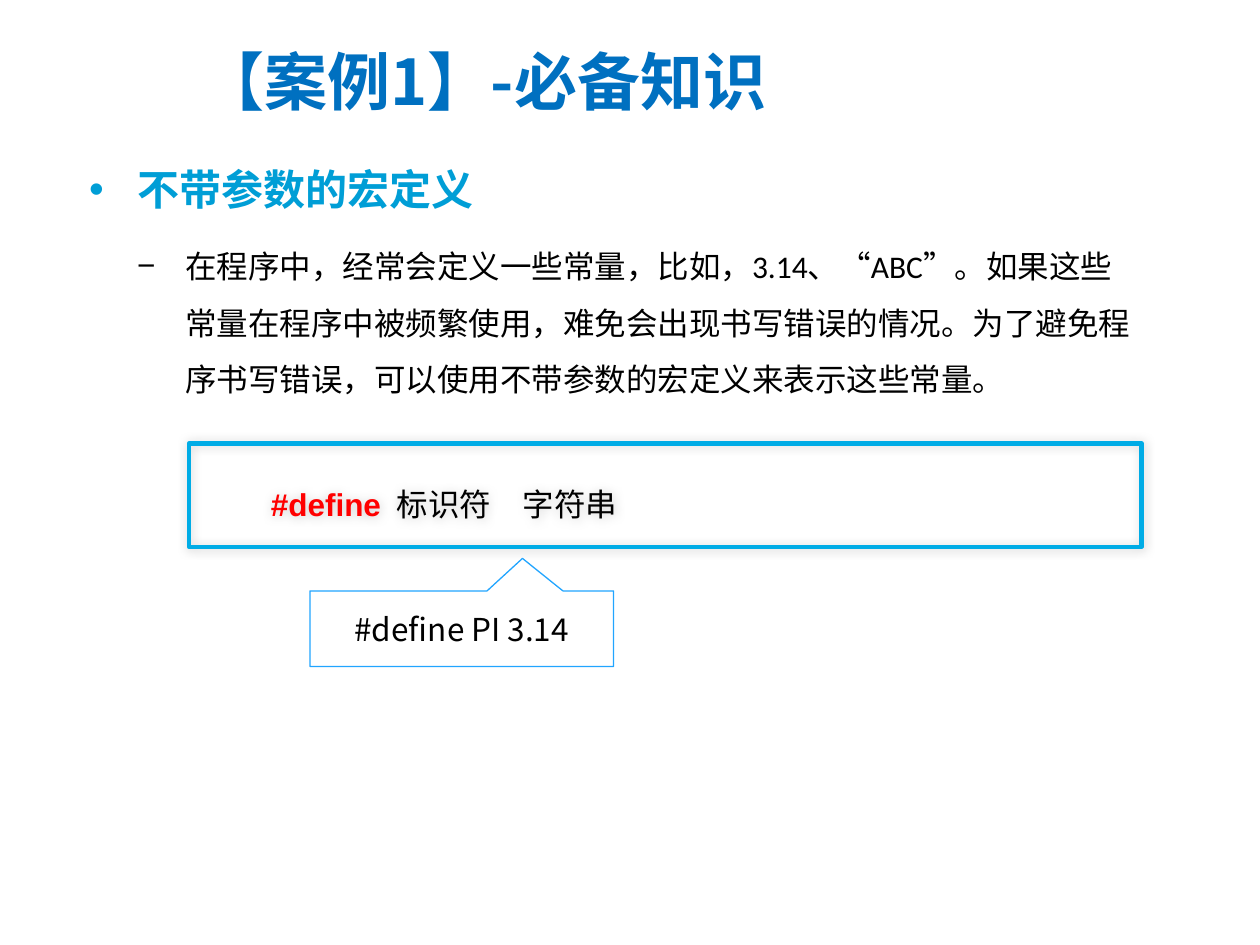
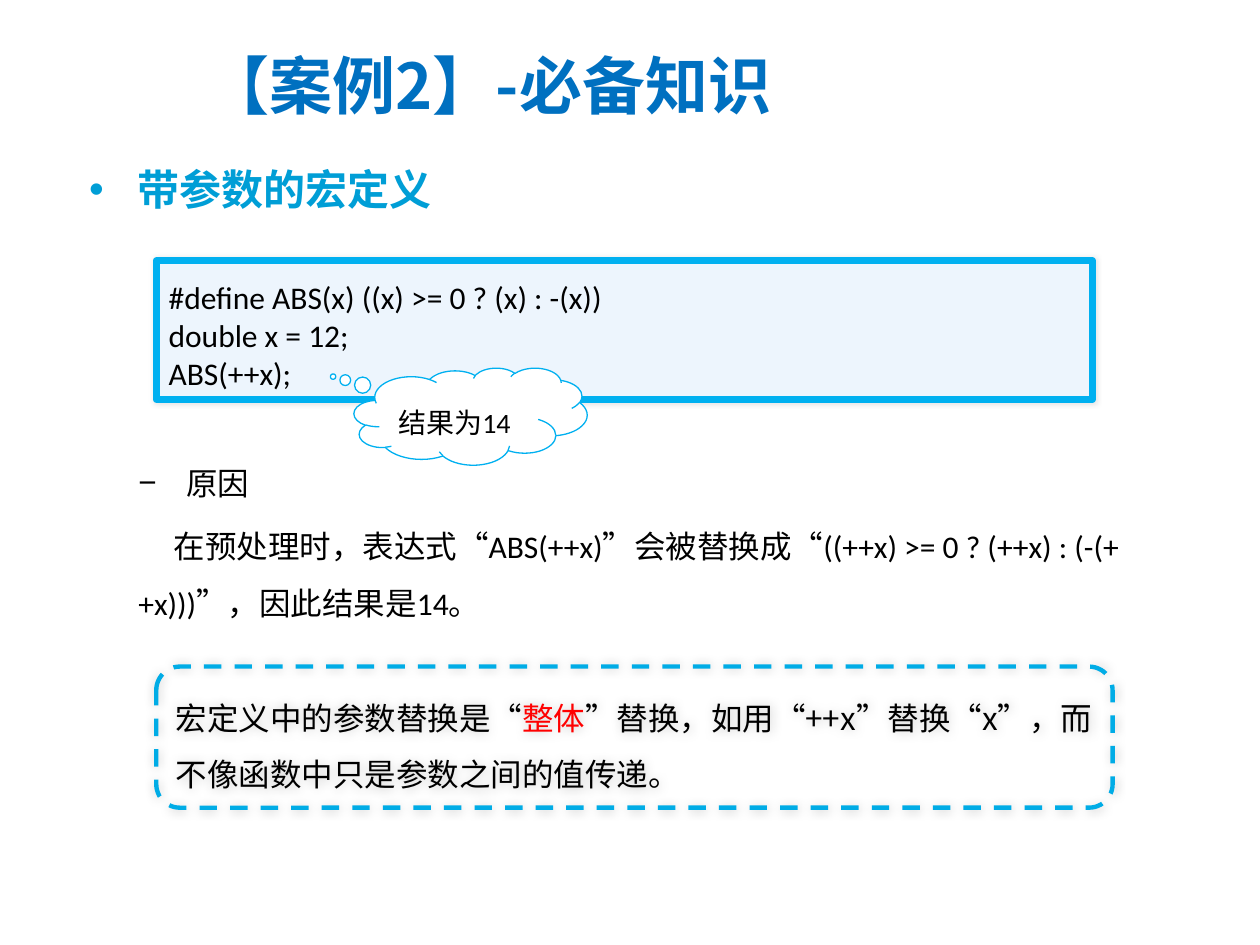
from lxml import etree
from pptx import Presentation
from pptx.dml.color import RGBColor
from pptx.enum.dml import MSO_LINE
from pptx.enum.shapes import MSO_SHAPE
from pptx.enum.text import MSO_ANCHOR, MSO_AUTO_SIZE, PP_ALIGN
from pptx.oxml.ns import qn
from pptx.util import Inches, Pt

RECT, ROUND = MSO_SHAPE.RECTANGLE, MSO_SHAPE.ROUNDED_RECTANGLE
WEDGE, CLOUD = MSO_SHAPE.RECTANGULAR_CALLOUT, MSO_SHAPE.CLOUD_CALLOUT
PROCESS = MSO_SHAPE.FLOWCHART_ALTERNATE_PROCESS
TOP, MIDDLE = MSO_ANCHOR.TOP, MSO_ANCHOR.MIDDLE
LEFT, CENTER = PP_ALIGN.LEFT, PP_ALIGN.CENTER
DASH, NO_FIT = MSO_LINE.DASH, MSO_AUTO_SIZE.NONE

WIDTH, HEIGHT = Inches(10), Inches(7.5)
CELL = WIDTH / 100
CJK, LATIN, SANS = "Noto Sans CJK SC", "Calibri", "Arial"
BLACK, WHITE, RED = "000000", "FFFFFF", "FF0000"
TITLE_BLUE, HEADING_BLUE, FRAME_BLUE = "0070C0", "009ED6", "00ACE6"
CODE_BLUE, CODE_FILL, CALLOUT_BLUE = "00B0F0", "EDF5FD", "21A5FF"

HEADING = dict(size=24, color=HEADING_BLUE, bold=True, spacing=1.5, bullet="•", wrap=False)
BODY = dict(spacing=1.5)
DASHED_ITEM = dict(bullet="−", spacing=1.5)
FRAME = dict(line=FRAME_BLUE, weight=2.5, shadow=(20, 6, 225))

SLIDES = [
    dict(
        title="【案例1】-必备知识", title_at=(15, 2.2, 56.3, 8.4),
        texts=[
            ((6.1, 10.5, 32.9, 7.1), [("不带参数的宏定义", HEADING)]),
            ((9.9, 17.6, 81.2, 14.1), [(
                "在程序中，经常会定义一些常量，比如，3.14、“ABC”。如果这些常量在程序中被频繁使用，"
                "难免会出现书写错误的情况。为了避免程序书写错误，可以使用不带参数的宏定义来表示这些常量。",
                DASHED_ITEM)]),
        ],
        shapes=[
            (RECT, (15, 35.2, 75.6, 8.2), FRAME,
             [([("#define", dict(color=RED, bold=True)), "\t标识符\t字符串"],
               dict(font=SANS, spacing=1.5, tabs=(10.7, 19.4), inset=(6.5, 1.8)))]),
            (WEDGE, (24.6, 46.9, 24.1, 6), dict(fill=WHITE, line=CALLOUT_BLUE, adj=(0.2, -0.93)),
             [("#define PI 3.14", dict(font=CJK, align=CENTER, anchor=MIDDLE, wrap=False))]),
        ],
    ),
    dict(
        title="【案例2】-必备知识", title_at=(15.4, 2.5, 56.3, 8.4),
        texts=[
            ((6.1, 10.5, 29.5, 7.1), [("带参数的宏定义", HEADING)]),
            ((10, 34.8, 82.6, 15.2), [
                ("原因", DASHED_ITEM),
                ("在预处理时，表达式“ABS(++x)”会被替换成“((++x) >= 0 ? (++x) : (-(++x)))”，因此结果是14。",
                 dict(spacing=1.5, before=4, indent=2.8))]),
        ],
        shapes=[
            (ROUND, (12.4, 20.7, 74.3, 11),
             dict(fill=CODE_FILL, line=CODE_BLUE, weight=4, shadow=(10, 3, 0), adj=(0,)),
             [("#define ABS(x) ((x) >= 0 ? (x) : -(x))", dict(spacing=1.3)),
              ("double x = 12;", {}), ("ABS(++x);", {})]),
            (CLOUD, (28.1, 29.2, 18.5, 7.7), dict(fill=WHITE, line=CODE_BLUE, adj=(-0.59, -0.41)),
             [("结果为14", dict(size=16, spacing=1.5, anchor=MIDDLE))]),
            (PROCESS, (12.4, 52.9, 75.9, 11.2), dict(FRAME, dash=DASH),
             [(["宏定义中的参数替换是“", ("整体", dict(color=RED)),
                "”替换，如用“++x”替换“x”，而不像函数中只是参数之间的值传递。"],
               dict(font=CJK, spacing=1.5))]),
        ],
    ),
]


def rgb(value):
    return RGBColor.from_string(value)


def cells(n):
    return round(n * CELL)


def grid(at):
    return [cells(n) for n in at]


def child(parent, tag, **attrs):
    return etree.SubElement(parent, qn(tag), {k: str(v) for k, v in attrs.items()})


def set_frame(tf, anchor=TOP, wrap=True, inset=(1, 0.5)):
    tf.auto_size = NO_FIT
    tf.word_wrap = wrap
    tf.vertical_anchor = anchor
    tf.margin_left, tf.margin_top = grid(inset)
    tf.margin_right, tf.margin_bottom = cells(1), cells(0.5)


def add_text(p, text, font=LATIN, size=18, color=BLACK, bold=False, align=LEFT,
             spacing=None, before=0, bullet=None, indent=0, tabs=()):
    p.alignment = align
    p.space_before = Pt(before)
    if spacing:
        p.line_spacing = spacing
    pPr = p._p.get_or_add_pPr()
    hang = 3.8 if bullet else 0
    pPr.set("marL", str(cells(hang)))
    pPr.set("indent", str(cells(indent - hang)))
    if bullet:
        child(pPr, "a:buFont", typeface=SANS)
        child(pPr, "a:buChar", char=bullet)
    else:
        child(pPr, "a:buNone")
    if tabs:
        tab_list = child(pPr, "a:tabLst")
        for pos in tabs:
            child(tab_list, "a:tab", pos=cells(pos), algn="l")
    for part in [text] if isinstance(text, str) else text:
        words, own = (part, {}) if isinstance(part, str) else part
        r = p.add_run()
        r.text = words
        r.font.name = font
        r.font.size = Pt(size)
        r.font.bold = own.get("bold", bold)
        r.font.color.rgb = rgb(own.get("color", color))
        child(r._r.get_or_add_rPr(), "a:ea", typeface=CJK)


def fill_text(tf, paragraphs):
    frame_keys = ("anchor", "wrap", "inset")
    first = paragraphs[0][1]
    set_frame(tf, **{k: first[k] for k in frame_keys if k in first})
    for i, (text, style) in enumerate(paragraphs):
        p = tf.paragraphs[0] if i == 0 else tf.add_paragraph()
        add_text(p, text, **{k: v for k, v in style.items() if k not in frame_keys})


def add_box(s, kind, at, paragraphs, line, fill=None, weight=0.75, dash=None, shadow=None, adj=()):
    sp = s.shapes.add_shape(kind, *grid(at))
    for i, value in enumerate(adj):
        sp.adjustments[i] = value
    if fill:
        sp.fill.solid()
        sp.fill.fore_color.rgb = rgb(fill)
    else:
        sp.fill.background()
    sp.line.color.rgb = rgb(line)
    sp.line.width = Pt(weight)
    if dash:
        sp.line.dash_style = dash
    sp.shadow.inherit = False
    if shadow:
        alpha, blur, angle = shadow
        effects = sp._element.spPr.find(qn("a:effectLst"))
        outer = child(effects, "a:outerShdw", blurRad=Pt(blur), dist=0,
                      dir=angle * 60000, algn="ctr", rotWithShape=0)
        child(child(outer, "a:srgbClr", val=BLACK), "a:alpha", val=alpha * 1000)
    fill_text(sp.text_frame, paragraphs)


def build_slide(prs, title, title_at, texts, shapes):
    s = prs.slides.add_slide(prs.slide_layouts[5])
    sp = s.shapes.title
    sp.left, sp.top, sp.width, sp.height = grid(title_at)
    fill_text(sp.text_frame, [(title, dict(font=CJK, size=36, color=TITLE_BLUE,
                                           bold=True, anchor=MIDDLE))])
    for at, paragraphs in texts:
        fill_text(s.shapes.add_textbox(*grid(at)).text_frame, paragraphs)
    for kind, at, look, paragraphs in shapes:
        add_box(s, kind, at, paragraphs, **look)


def main():
    prs = Presentation()
    prs.slide_width, prs.slide_height = WIDTH, HEIGHT
    for content in SLIDES:
        build_slide(prs, **content)
    prs.save("out.pptx")


if __name__ == "__main__":
    main()
